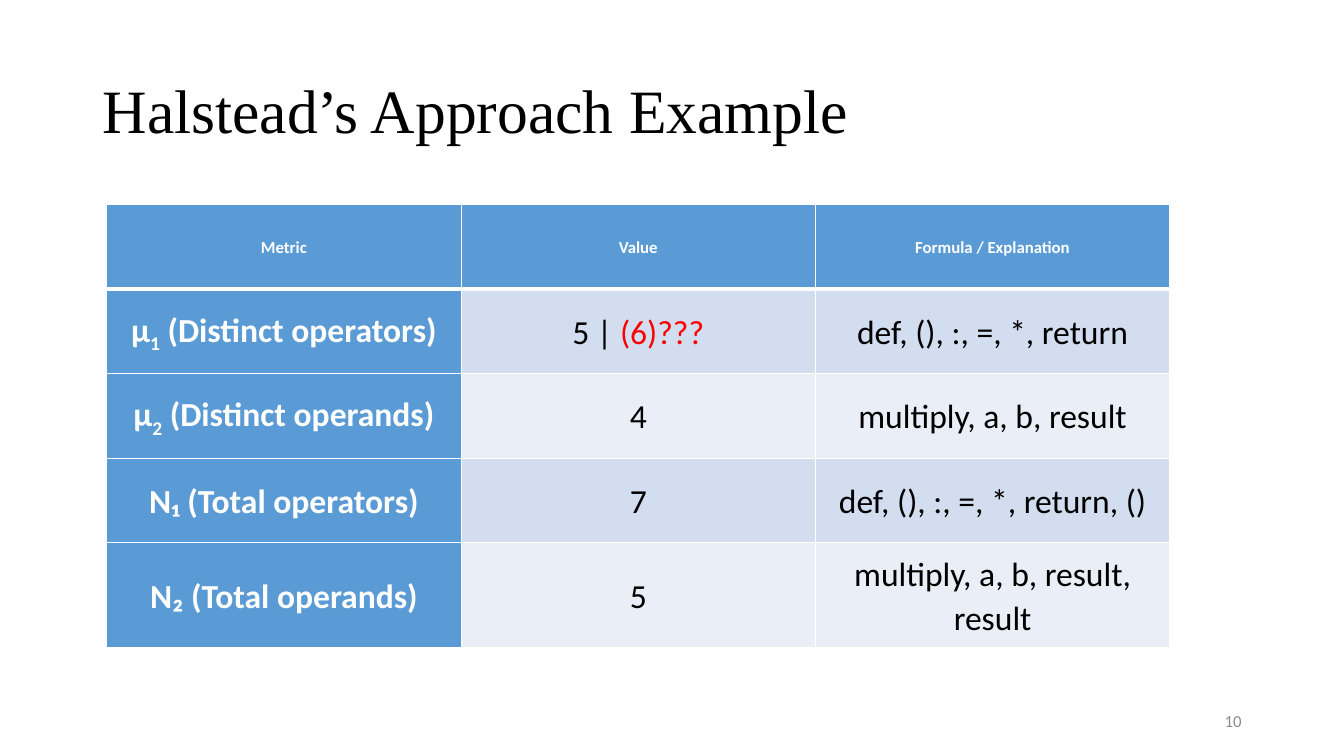
"""Build the slide that tabulates Halstead's metrics for a small example."""
from dataclasses import dataclass

from lxml.etree import SubElement
from pptx import Presentation
from pptx.dml.color import RGBColor
from pptx.enum.text import MSO_ANCHOR as Anchor, MSO_AUTO_SIZE as AutoSize, PP_ALIGN as Align
from pptx.oxml.ns import qn
from pptx.slide import Slide
from pptx.table import _Cell as Cell
from pptx.util import Cm, Pt

WHITE = RGBColor(0xFF, 0xFF, 0xFF)
BLACK = RGBColor(0x00, 0x00, 0x00)
RED = RGBColor(0xFF, 0x00, 0x00)
GRAY = RGBColor(0x8C, 0x8C, 0x8C)
BLUE = RGBColor(0x5B, 0x9B, 0xD5)
BANDS = (RGBColor(0xD2, 0xDE, 0xEF), RGBColor(0xEA, 0xEF, 0xF7))

BODY_FONT = "Calibri"
COLUMN_WIDTH = Cm(8.93)
ROW_HEIGHTS = (Cm(2.13),) * 4 + (Cm(2.64),)
CELL_MARGIN = Cm(0.03)
THIN, THICK = Pt(1), Pt(3)


@dataclass(frozen=True)
class Piece:
    """A stretch of cell text with its own colour or subscript."""
    text: str
    color: RGBColor | None = None
    subscript: bool = False


@dataclass(frozen=True)
class Metric:
    """One table row: metric name, value and explanation."""
    name: tuple[Piece, ...]
    value: tuple[Piece, ...]
    explanation: tuple[Piece, ...]


def plain_row(name: str, value: str, explanation: str) -> Metric:
    """Make a row whose cells are each a single piece of text."""
    return Metric((Piece(name),), (Piece(value),), (Piece(explanation),))


def mu_name(index: str, meaning: str) -> tuple[Piece, ...]:
    """Make a metric name of mu with a subscript index."""
    return Piece("µ"), Piece(index, subscript=True), Piece(f" ({meaning})")


ROWS = (
    plain_row("Metric", "Value", "Formula / Explanation"),
    Metric(mu_name("1", "Distinct operators"),
           (Piece("5 | "), Piece("(6)???", RED)),
           (Piece("def, (), :, =, *, return"),)),
    Metric(mu_name("2", "Distinct operands"),
           (Piece("4"),),
           (Piece("multiply, a, b, result"),)),
    plain_row("N₁ (Total operators)", "7", "def, (), :, =, *, return, ()"),
    plain_row("N₂ (Total operands)", "5", "multiply, a, b, result, result"),
)


def add_title(slide: Slide, text: str) -> None:
    """Place and format the title placeholder."""
    title = slide.shapes.title
    title.left, title.top, title.width, title.height = Cm(2.33), Cm(1.01), Cm(29.21), Cm(3.68)
    frame = title.text_frame
    frame.text = text
    frame.auto_size = AutoSize.NONE
    frame.vertical_anchor = Anchor.MIDDLE
    paragraph = frame.paragraphs[0]
    paragraph.alignment = Align.LEFT
    paragraph.line_spacing = 0.9
    paragraph.font.name = "Times New Roman"
    paragraph.font.size = Pt(44)
    paragraph.font.color.rgb = BLACK


def add_page_number(slide: Slide, text: str) -> None:
    """Put the page number at the lower right."""
    frame = slide.shapes.add_textbox(Cm(23.92), Cm(17.65), Cm(7.62), Cm(1.01)).text_frame
    frame.word_wrap = True
    frame.vertical_anchor = Anchor.MIDDLE
    frame.text = text
    paragraph = frame.paragraphs[0]
    paragraph.alignment = Align.RIGHT
    paragraph.font.name = BODY_FONT
    paragraph.font.size = Pt(12)
    paragraph.font.color.rgb = GRAY


def set_borders(cell: Cell, top: int, bottom: int) -> None:
    """Give a cell white borders, which must precede its fill in the XML."""
    properties = cell._tc.get_or_add_tcPr()
    widths = {"a:lnL": THIN, "a:lnR": THIN, "a:lnT": top, "a:lnB": bottom}
    for position, (tag, width) in enumerate(widths.items()):
        line = SubElement(properties, qn(tag), w=str(width))
        fill = SubElement(line, qn("a:solidFill"))
        SubElement(fill, qn("a:srgbClr"), val=str(WHITE))
        properties.insert(position, line)


def fill_cell(cell: Cell, pieces: tuple[Piece, ...], row: int, column: int) -> None:
    """Write and format one cell according to its place in the table."""
    is_heading = row == 0 or column == 0
    cell.fill.solid()
    cell.fill.fore_color.rgb = BLUE if is_heading else BANDS[(row - 1) % 2]
    set_borders(cell, THICK if row == 1 else THIN, THICK if row == 0 else THIN)
    cell.vertical_anchor = Anchor.MIDDLE
    cell.margin_left = cell.margin_right = cell.margin_top = cell.margin_bottom = CELL_MARGIN

    paragraph = cell.text_frame.paragraphs[0]
    paragraph.alignment = Align.CENTER
    paragraph.line_spacing = 1.07
    for piece in pieces:
        run = paragraph.add_run()
        run.text = piece.text
        run.font.name = BODY_FONT
        run.font.size = Pt(12 if row == 0 else 24)
        run.font.bold = is_heading
        run.font.color.rgb = piece.color or (WHITE if is_heading else BLACK)
        if piece.subscript:
            run._r.get_or_add_rPr().set("baseline", "-25000")


def add_metrics_table(slide: Slide) -> None:
    """Draw the table of metrics."""
    table = slide.shapes.add_table(len(ROWS), 3, Cm(2.69), Cm(5.16),
                                   3 * COLUMN_WIDTH, sum(ROW_HEIGHTS)).table
    for column in table.columns:
        column.width = COLUMN_WIDTH
    for row, (metric, height) in enumerate(zip(ROWS, ROW_HEIGHTS)):
        table.rows[row].height = height
        for column, pieces in enumerate((metric.name, metric.value, metric.explanation)):
            fill_cell(table.cell(row, column), pieces, row, column)


def main() -> None:
    """Create and save the presentation."""
    presentation = Presentation()
    presentation.slide_width, presentation.slide_height = Cm(33.87), Cm(19.05)
    slide = presentation.slides.add_slide(presentation.slide_layouts.get_by_name("Title Only"))
    add_title(slide, "Halstead’s Approach Example")
    add_metrics_table(slide)
    add_page_number(slide, "10")
    presentation.save("out.pptx")


if __name__ == "__main__":
    main()
